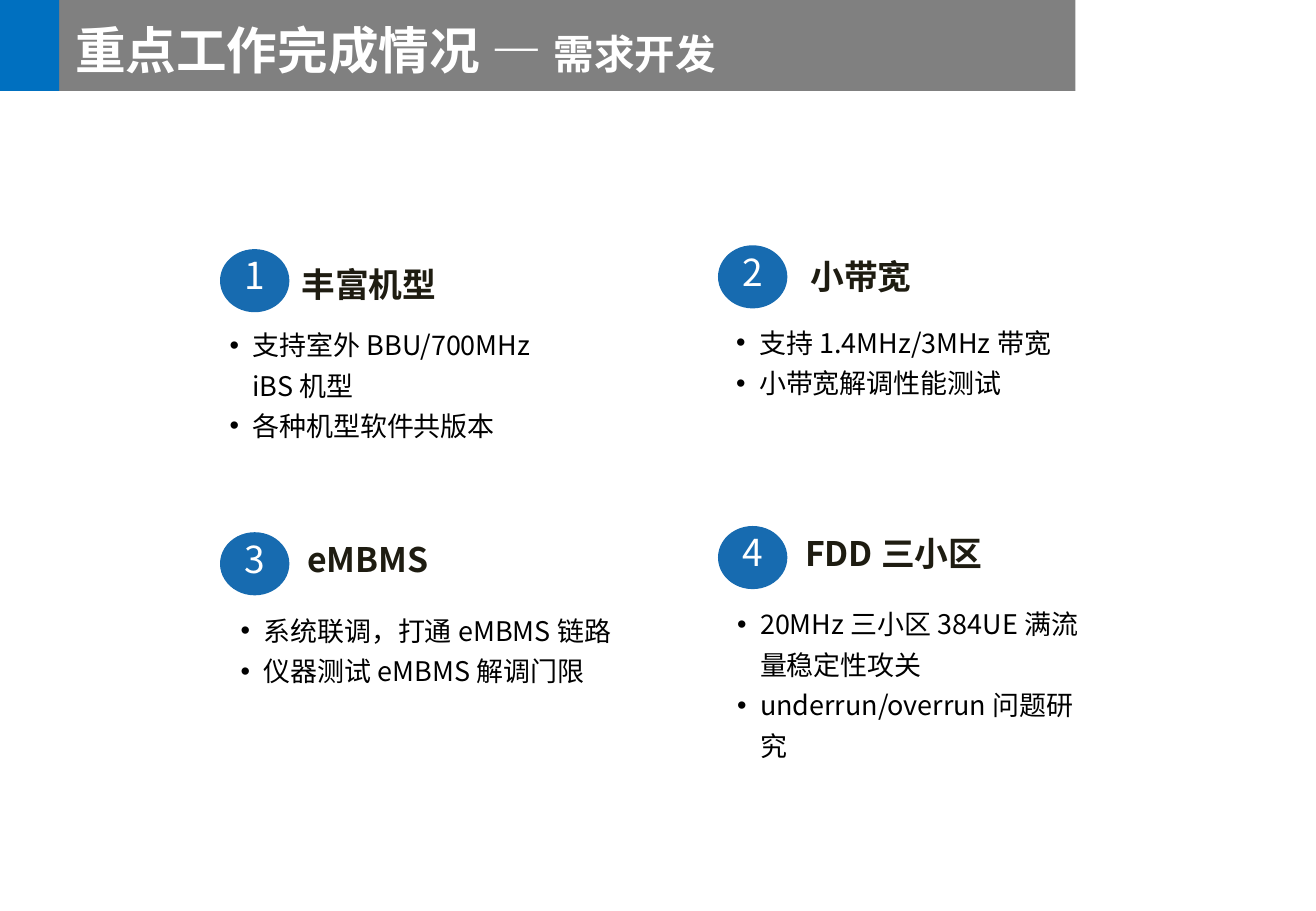
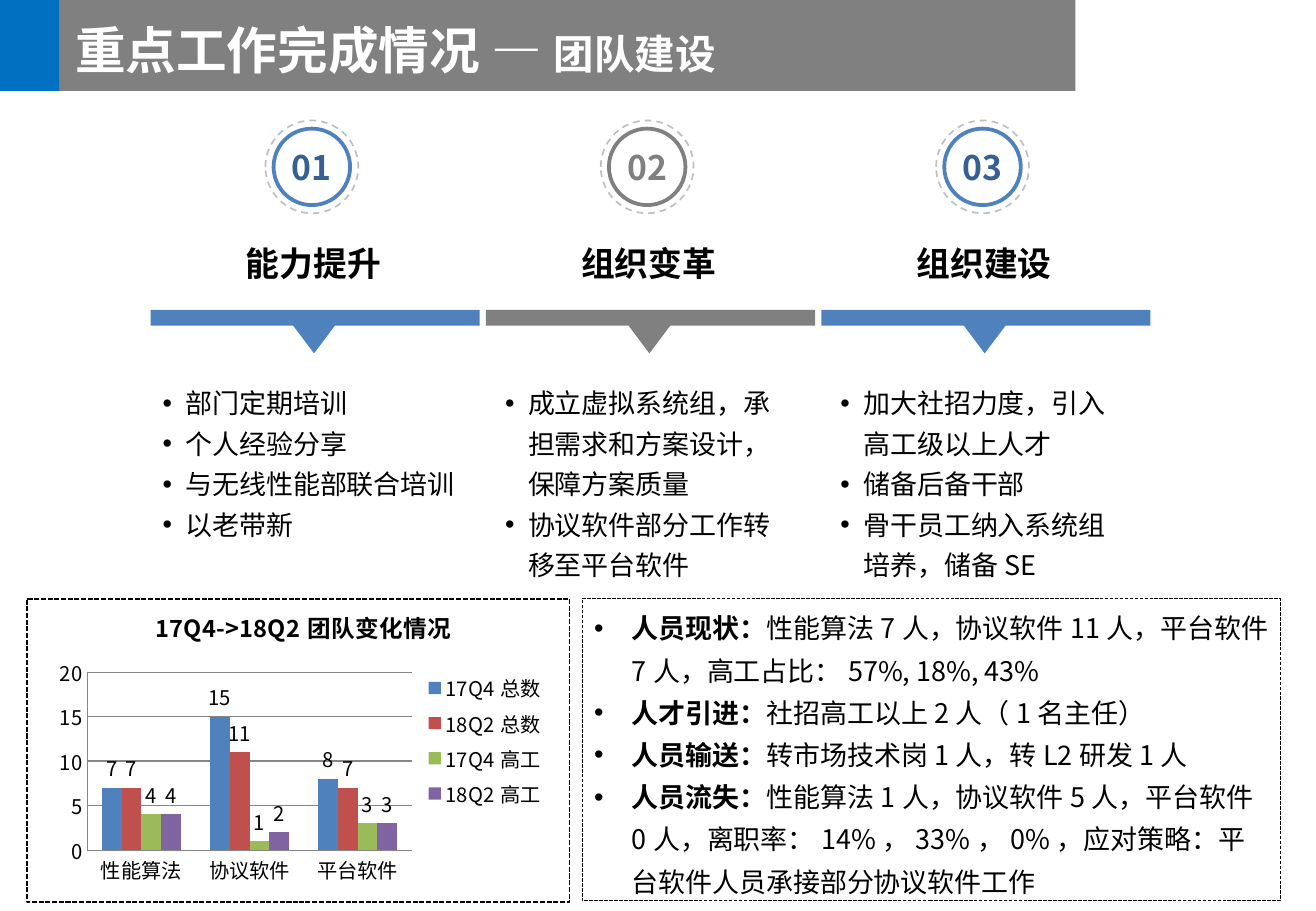
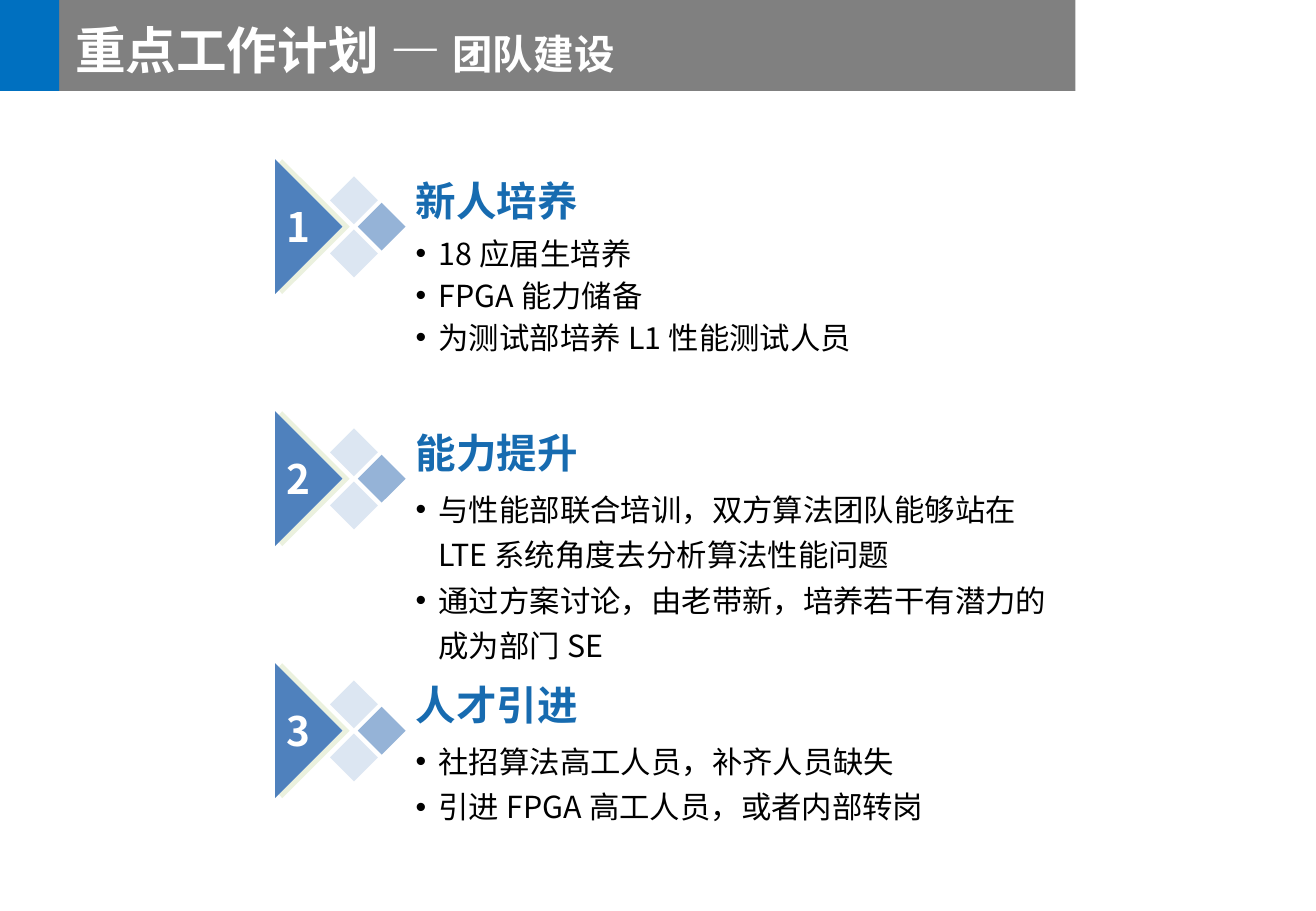
"""Build three slides on finished work, team building and the work plan."""
from lxml import etree
from pptx import Presentation
from pptx import util as u
from pptx.chart import data as chart_data
from pptx.dml import color
from pptx.enum import chart as ch, dml, shapes, text
from pptx.oxml import ns

Cm, Pt = u.Cm, u.Pt
KIND, ALIGN, ANCHOR = shapes.MSO_SHAPE, text.PP_ALIGN, text.MSO_ANCHOR
FONT = "Noto Sans CJK SC"
COLORS = {
    "white": "FFFFFF", "black": "000000", "ink": "1E1C11", "grey": "808080",
    "ring": "BFBFBF", "axis": "868686", "accent": "0070C0", "badge": "176BB0",
    "blue": "4F81BD", "navy": "376092", "pale": "DCE6F2", "sky": "95B3D7",
    "edge": "EBF1DE", "red": "C0504D", "green": "9BBB59", "purple": "8064A2",
}


def rgb(name):
    """Return the named colour of the palette."""
    return color.RGBColor.from_string(COLORS[name])


def style(font, size=None, ink="black", bold=False):
    """Set face, size, colour and weight of a font."""
    font.name, font.bold = FONT, bold
    font.color.rgb = rgb(ink)
    if size:
        font.size = Pt(size)


def add_bullet(paragraph, indent):
    """Give a paragraph a round bullet with a hanging indent."""
    props = paragraph._p.get_or_add_pPr()
    props.set("marL", str(Cm(indent)))
    props.set("indent", str(-Cm(indent)))
    etree.SubElement(props, ns.qn("a:buFont")).set("typeface", "Arial")
    etree.SubElement(props, ns.qn("a:buChar")).set("char", "•")


def write(shape, lines, size, ink="black", bold=False, align=ALIGN.LEFT,
          anchor=ANCHOR.TOP, spacing=None, indent=None, insets=None):
    """Fill a shape with paragraphs; a tuple is a bold lead and plain rest."""
    frame = shape.text_frame
    frame.word_wrap, frame.vertical_anchor = True, anchor
    if insets:
        (frame.margin_left, frame.margin_top,
         frame.margin_right, frame.margin_bottom) = map(Cm, insets)
    for i, line in enumerate(lines):
        paragraph = frame.add_paragraph() if i else frame.paragraphs[0]
        if indent:
            add_bullet(paragraph, indent)
        paragraph.alignment = align
        if spacing:
            paragraph.line_spacing = spacing
        style(paragraph.font, size, ink, bold)
        if isinstance(line, tuple):
            for part, strong in zip(line, (True, False)):
                run = paragraph.add_run()
                run.text, run.font.bold = part, strong
        else:
            paragraph.add_run().text = line


def add_label(slide, box, lines, size, **look):
    """Add a text box in the given box, in centimetres."""
    label = slide.shapes.add_textbox(*map(Cm, box))
    write(label, lines, size, **look)


def paint(shape, fill=None, line=None, width=1, dash=None):
    """Set fill and outline of a shape and drop its shadow."""
    shape.shadow.inherit = False
    if fill:
        shape.fill.solid()
        shape.fill.fore_color.rgb = rgb(fill)
    else:
        shape.fill.background()
    if line:
        shape.line.color.rgb = rgb(line)
        shape.line.width = Pt(width)
        if dash:
            shape.line.dash_style = dash
    else:
        shape.line.fill.background()
    return shape


def add_block(slide, kind, box, **look):
    """Add a painted preset shape in the given box, in centimetres."""
    return paint(slide.shapes.add_shape(kind, *map(Cm, box)), **look)


def add_outline(slide, left, top, points, fill):
    """Add a closed polygon whose points are relative to left and top."""
    corners = [(Cm(left + x), Cm(top + y)) for x, y in points]
    builder = slide.shapes.build_freeform(*corners[0], scale=1.0)
    builder.add_line_segments(corners[1:], close=True)
    return paint(builder.convert_to_shape(), fill=fill)


def start_slide(deck, heading, subject):
    """Add a slide with the shared title band."""
    slide = deck.slides.add_slide(deck.slide_layouts[5])
    title = slide.shapes.title
    title.left, title.top, title.width, title.height = map(
        Cm, (1.32, 0.13, 18.64, 1.78))
    for box, fill in (((1.22, 0, 21.26, 1.9), "grey"),
                      ((0, 0, 1.24, 1.9), "accent")):
        band = add_block(slide, KIND.RECTANGLE, box, fill=fill)
        title.element.addprevious(band.element)
    frame = title.text_frame
    write(title, [], 30, anchor=ANCHOR.MIDDLE, insets=(0.25,) * 4)
    frame.auto_size = text.MSO_AUTO_SIZE.NONE
    paragraph = frame.paragraphs[0]
    paragraph.alignment = ALIGN.LEFT
    style(paragraph.font, ink="white", bold=True)
    for part, size in ((f"{heading} — ", 30), (subject, 24)):
        run = paragraph.add_run()
        run.text, run.font.size = part, Pt(size)
    return slide


def add_topic(slide, left, top, number, name, name_at, points, points_at):
    """Place a numbered badge with its name and points."""
    badge = add_block(slide, KIND.OVAL, (left, top, 1.45, 1.32), fill="badge")
    write(badge, [number], 22, "white", align=ALIGN.CENTER,
          anchor=ANCHOR.MIDDLE, spacing=0.7, insets=(0,) * 4)
    dx, dy = name_at
    add_label(slide, (left + dx, top + dy, 6.07, 0.94), [name], 20, ink="ink",
              bold=True, anchor=ANCHOR.MIDDLE, insets=(0,) * 4)
    dx, dy, width = points_at
    add_label(slide, (left + dx, top + dy, width, 2.8), points, 16,
              spacing=1.25, indent=0.48)


def build_features(deck):
    """Build the slide on feature development."""
    slide = start_slide(deck, "重点工作完成情况", "需求开发")
    topics = [
        (4.6, 5.21, "丰富机型", (1.7, 0.25),
         ["支持室外BBU/700MHz iBS机型", "各种机型软件共版本"], (-0.05, 1.37, 7.06)),
        (15.01, 5.13, "小带宽", (1.93, 0.18),
         ["支持1.4MHz/3MHz带宽", "小带宽解调性能测试"], (0.13, 1.4, 8.2)),
        (4.6, 11.13, "eMBMS", (1.82, 0.1),
         ["系统联调，打通eMBMS链路", "仪器测试eMBMS解调门限"], (0.18, 1.42, 8.6)),
        (15.01, 11, "FDD三小区", (1.82, 0.1),
         ["20MHz三小区384UE满流量稳定性攻关", "underrun/overrun问题研究"],
         (0.15, 1.42, 8)),
    ]
    for number, (left, top, *content) in enumerate(topics, 1):
        add_topic(slide, left, top, str(number), *content)


def add_column(slide, left, number, name, tint, ink, inset, points):
    """Place a numbered column with its ring, bar, pointer and points."""
    width = 6.88
    add_block(slide, KIND.RECTANGLE, (left, 6.48, width, 0.33), fill=tint)
    add_label(slide, (left - 0.1, 4.27, 7.01, 2.2), [name], 20, bold=True,
              align=ALIGN.CENTER, anchor=ANCHOR.MIDDLE, spacing=1.3,
              insets=(0,) * 4)
    add_label(slide, (left + inset, 7.92, width - inset - 0.45, 4.2), points,
              16, spacing=1.25, indent=0.48, insets=(0,) * 4)
    ring = add_block(slide, KIND.OVAL, (left + 2.57, 2.69, 1.6, 1.6),
                     line=tint, width=2.25)
    write(ring, [number], 20, ink, True, ALIGN.CENTER, ANCHOR.MIDDLE,
          insets=(0, 0.13, 0, 0.13))
    add_block(slide, KIND.OVAL, (left + 2.4, 2.52, 1.94, 1.94), line="ring",
              dash=dml.MSO_LINE.DASH)
    pointer = add_block(slide, KIND.ISOSCELES_TRIANGLE,
                        (left + 2.92, 6.73, 0.99, 0.66), fill=tint)
    pointer.rotation = 180


def add_team_chart(slide, box):
    """Place the column chart of team sizes."""
    team = chart_data.CategoryChartData()
    team.categories = ["性能算法", "协议软件", "平台软件"]
    counts = [("17Q4总数", (7, 15, 8), "blue"), ("18Q2总数", (7, 11, 7), "red"),
              ("17Q4高工", (4, 1, 3), "green"), ("18Q2高工", (4, 2, 3), "purple")]
    for name, values, _ in counts:
        team.add_series(name, values)
    chart = slide.shapes.add_chart(
        ch.XL_CHART_TYPE.COLUMN_CLUSTERED, *map(Cm, box), team).chart
    style(chart.font, 12)
    chart.has_title = True
    caption = chart.chart_title.text_frame.paragraphs[0]
    caption.add_run().text = "17Q4->18Q2团队变化情况"
    style(caption.font, 14, bold=True)
    chart.chart_title.include_in_layout = False
    chart.has_legend = True
    chart.legend.position = ch.XL_LEGEND_POSITION.RIGHT
    chart.legend.include_in_layout = False
    for axis in (chart.category_axis, chart.value_axis):
        axis.major_tick_mark = axis.minor_tick_mark = ch.XL_TICK_MARK.NONE
        axis.format.line.color.rgb = rgb("axis")
    scale = chart.value_axis
    scale.minimum_scale, scale.maximum_scale, scale.major_unit = 0, 20, 5
    scale.major_gridlines.format.line.color.rgb = rgb("axis")
    plot = chart.plots[0]
    plot.gap_width, plot.overlap, plot.vary_by_categories = 150, 0, False
    for series, (_, _, tint) in zip(plot.series, counts):
        series.format.fill.solid()
        series.format.fill.fore_color.rgb = rgb(tint)
        labels = series.data_labels
        labels.show_value = True
        labels.position = ch.XL_LABEL_POSITION.OUTSIDE_END
        style(labels.font, 12)
    name_east_asian(chart.element)


def build_team(deck):
    """Build the slide on team building."""
    slide = start_slide(deck, "重点工作完成情况", "团队建设")
    columns = [
        ("能力提升", "blue", "navy", 0.25,
         ["部门定期培训", "个人经验分享", "与无线性能部联合培训", "以老带新"]),
        ("组织变革", "grey", "grey", 0.4,
         ["成立虚拟系统组，承担需求和方案设计，保障方案质量",
          "协议软件部分工作转移至平台软件"]),
        ("组织建设", "blue", "navy", 0.4,
         ["加大社招力度，引入高工级以上人才", "储备后备干部",
          "骨干员工纳入系统组培养，储备SE"]),
    ]
    for i, content in enumerate(columns):
        add_column(slide, 3.15 + 7.01 * i, f"{i + 1:02}", *content)
    dots = dml.MSO_LINE.SQUARE_DOT
    add_block(slide, KIND.RECTANGLE, (0.56, 12.52, 11.35, 6.35), fill="white",
              line="black", dash=dots)
    add_team_chart(slide, (1.04, 12.34, 10.62, 6.3))
    staffing = add_block(slide, KIND.RECTANGLE, (12.17, 12.52, 14.6, 6.32),
                         fill="white", line="black", width=0.75, dash=dots)
    write(staffing, [
        ("人员现状：", "性能算法7人，协议软件11人，平台软件7人，高工占比：57%, 18%, 43%"),
        ("人才引进：", "社招高工以上2人（1名主任）"),
        ("人员输送：", "转市场技术岗1人，转L2研发1人"),
        ("人员流失：", "性能算法1人，协议软件5人，平台软件0人，离职率：14%，33%，0%，"
                  "应对策略：平台软件人员承接部分协议软件工作"),
    ], 16, anchor=ANCHOR.MIDDLE, spacing=Pt(25), indent=0.79)


def add_step(slide, left, top, number, name, spacing, points):
    """Place a numbered arrow with diamonds, its name and points."""
    for dx, dy, tint in ((1.15, 0.36, "pale"), (1.15, 1.47, "pale"),
                         (1.73, 0.91, "sky")):
        add_block(slide, KIND.DIAMOND, (left + dx, top + dy, 1, 1), fill=tint)
    add_outline(slide, left, top, [(0.15, 0), (1.56, 1.41), (0.15, 2.82),
                                   (0.08, 2.74), (1.42, 1.41), (0.08, 0.08)],
                "edge")
    arrow = add_outline(slide, left, top, [(0, 0), (1.41, 1.41), (0, 2.82)],
                        "blue")
    write(arrow, [number], 24, "white", True, ALIGN.CENTER, ANCHOR.MIDDLE,
          insets=(0, 0, 0.41, 0))
    add_label(slide, (left + 2.69, top + 1.35, 14.03, 3.2), points, 18,
              spacing=spacing, indent=0.48)
    add_label(slide, (left + 2.69, top, 9.73, 1.5), [name], 24, ink="badge",
              bold=True, anchor=ANCHOR.BOTTOM)


def build_plan(deck):
    """Build the slide on the work plan."""
    slide = start_slide(deck, "重点工作计划", "团队建设")
    steps = [
        ("新人培养", 1.15,
         ["18应届生培养", "FPGA能力储备", "为测试部培养L1性能测试人员"]),
        ("能力提升", 1.25,
         ["与性能部联合培训，双方算法团队能够站在LTE系统角度去分析算法性能问题",
          "通过方案讨论，由老带新，培养若干有潜力的成为部门SE"]),
        ("人才引进", 1.25,
         ["社招算法高工人员，补齐人员缺失", "引进FPGA高工人员，或者内部转岗"]),
    ]
    for i, content in enumerate(steps):
        add_step(slide, 5.75, 3.33 + 5.27 * i, str(i + 1), *content)


def name_east_asian(root):
    """Repeat each Latin typeface as the East Asian one."""
    for latin in list(root.iter(ns.qn("a:latin"))):
        east = etree.Element(ns.qn("a:ea"))
        east.set("typeface", latin.get("typeface"))
        latin.addnext(east)


def main():
    """Build and save the presentation."""
    deck = Presentation()
    deck.slide_width, deck.slide_height = Cm(27.51), Cm(19.05)
    for build in (build_features, build_team, build_plan):
        build(deck)
    for slide in deck.slides:
        name_east_asian(slide.element)
    deck.save("out.pptx")


if __name__ == "__main__":
    main()
